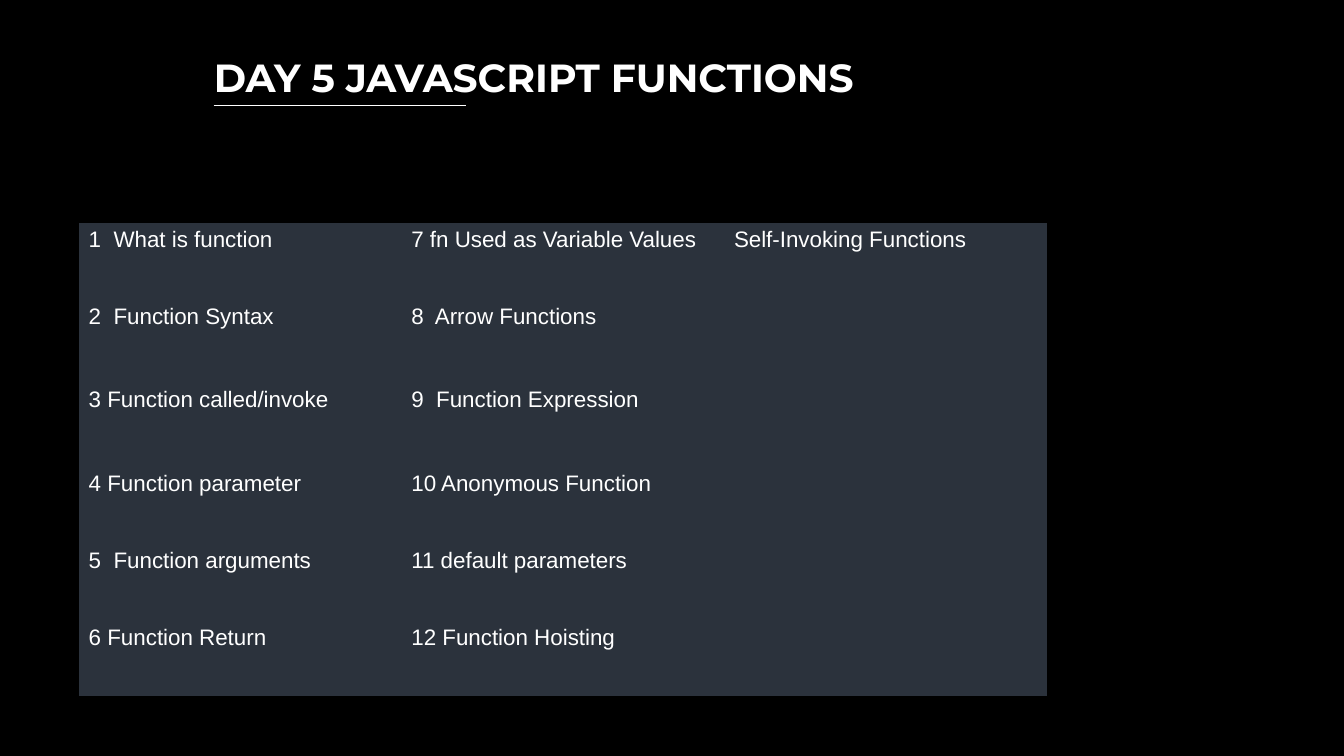
from pptx import Presentation
from pptx.dml.color import RGBColor
from pptx.enum.shapes import MSO_CONNECTOR
from pptx.enum.text import MSO_ANCHOR, MSO_AUTO_SIZE, PP_ALIGN
from pptx.oxml.ns import qn
from pptx.util import Inches, Pt
from lxml.etree import SubElement

BLACK = RGBColor(0x00, 0x00, 0x00)
WHITE = RGBColor(0xFF, 0xFF, 0xFF)
SLATE = RGBColor(0x2B, 0x32, 0x3C)
NO_STYLE_NO_GRID = "{2D5ABB26-0587-4C30-8999-92F81FD0307C}"

TOPIC_ROWS = [
    ("1  What is function", "7 fn Used as Variable Values", "Self-Invoking Functions"),
    ("2  Function Syntax", "8  Arrow Functions", ""),
    ("3 Function called/invoke", "9  Function Expression", ""),
    ("4 Function parameter", "10 Anonymous Function", ""),
    ("5  Function arguments", "11 default parameters", ""),
    ("6 Function Return", "12 Function Hoisting", ""),
]
ROW_HEIGHTS = [0.76, 0.82, 0.84, 0.76, 0.76, 0.76]
COLUMN_WIDTH = 3.2


class TopicSlide:
    title_font = "Montserrat"
    body_font = "Arial"

    def __init__(self, presentation):
        self.slide = presentation.slides.add_slide(presentation.slide_layouts[5])
        fill = self.slide.background.fill
        fill.solid()
        fill.fore_color.rgb = BLACK

    def format_text(self, text_frame, font_name, size, bold=False):
        for paragraph in text_frame.paragraphs:
            paragraph.alignment = PP_ALIGN.LEFT
            for run in paragraph.runs:
                run.font.name = font_name
                run.font.size = Pt(size)
                run.font.bold = bold
                run.font.color.rgb = WHITE

    def set_title(self, text, left, top, width, height):
        title = self.slide.shapes.title
        title.left, title.top = Inches(left), Inches(top)
        title.width, title.height = Inches(width), Inches(height)
        text_frame = title.text_frame
        text_frame.text = text
        text_frame.word_wrap = False
        text_frame.auto_size = MSO_AUTO_SIZE.SHAPE_TO_FIT_TEXT
        text_frame.vertical_anchor = MSO_ANCHOR.TOP
        self.format_text(text_frame, self.title_font, 28, bold=True)

    def add_table(self, rows, left, top, column_width, row_heights):
        column_count = len(rows[0])
        frame = self.slide.shapes.add_table(
            len(rows), column_count, Inches(left), Inches(top),
            Inches(column_width * column_count), Inches(sum(row_heights)))
        table = frame.table
        table.first_row = table.horz_banding = False
        frame.element.find(".//" + qn("a:tableStyleId")).text = NO_STYLE_NO_GRID
        for column in table.columns:
            column.width = Inches(column_width)
        for row, height, texts in zip(table.rows, row_heights, rows):
            row.height = Inches(height)
            for cell, text in zip(row.cells, texts):
                cell.fill.solid()
                cell.fill.fore_color.rgb = SLATE
                cell.text_frame.text = text
                self.format_text(cell.text_frame, self.body_font, 16)

    def add_rule(self, left, top, width):
        """Draw a thin horizontal line without a shadow."""
        rule = self.slide.shapes.add_connector(
            MSO_CONNECTOR.STRAIGHT, Inches(left), Inches(top),
            Inches(left + width), Inches(top))
        rule.line.color.rgb = WHITE
        rule.line.width = Pt(0.75)
        SubElement(rule.element.spPr, qn("a:effectLst"))


def main():
    presentation = Presentation()
    presentation.slide_width = Inches(13.33)
    presentation.slide_height = Inches(7.5)
    topics = TopicSlide(presentation)
    topics.set_title("DAY 5 JAVASCRIPT FUNCTIONS", 2.02, 0.48, 7.01, 0.57)
    topics.add_table(TOPIC_ROWS, 0.78, 2.21, COLUMN_WIDTH, ROW_HEIGHTS)
    topics.add_rule(2.12, 1.05, 2.5)
    presentation.save("out.pptx")


if __name__ == "__main__":
    main()
